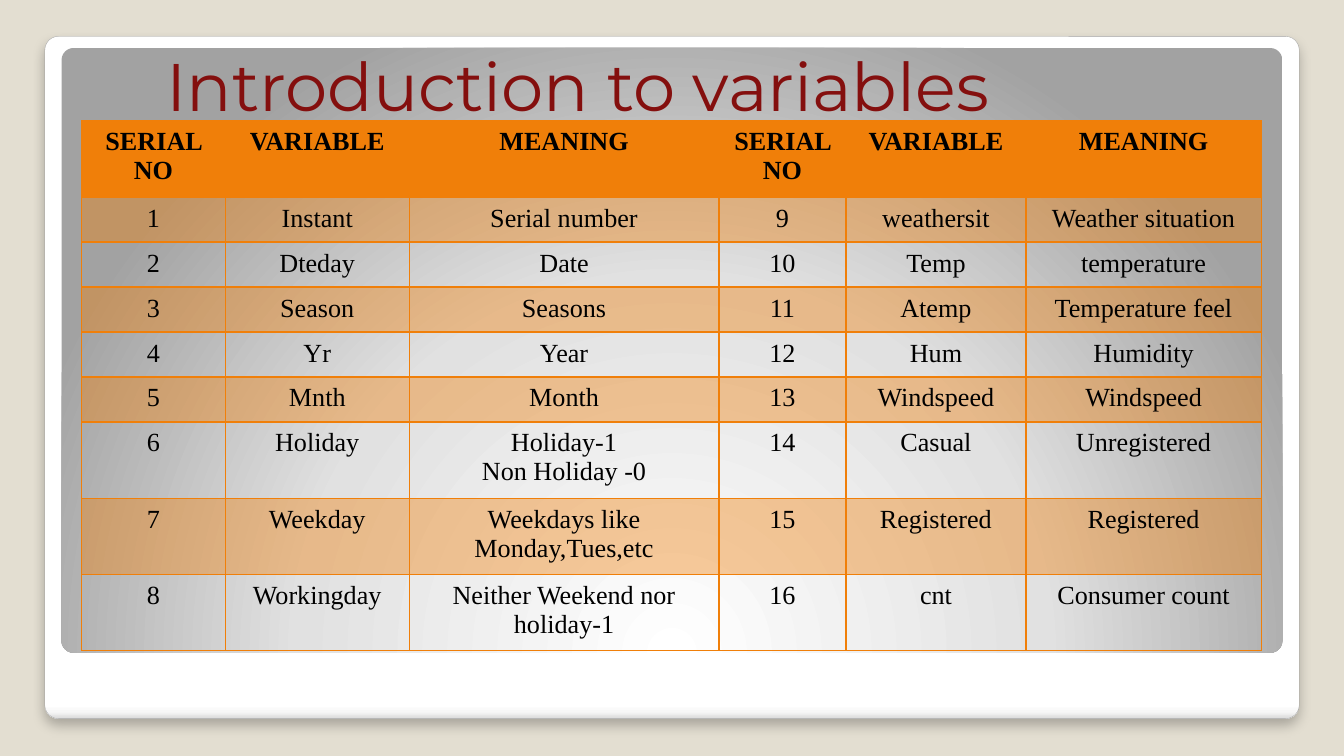
import dataclasses

import lxml.etree
import pptx
import pptx.dml.color
import pptx.enum.shapes
import pptx.enum.text
import pptx.oxml
import pptx.oxml.ns
import pptx.util

Pt = pptx.util.Pt
RGB = pptx.dml.color.RGBColor.from_string
ALIGN = pptx.enum.text.PP_ALIGN
NS = 'xmlns:a="http://schemas.openxmlformats.org/drawingml/2006/main"'
PLAIN = "{2D5ABB26-0587-4C30-8999-92F81FD0307C}"
qn = pptx.oxml.ns.qn


@dataclasses.dataclass
class Theme:
    back: str = "E3DED1"
    edge: str = "A4A4A4"
    title: str = "840F0E"
    ink: str = "000000"
    accent: str = "F07F09"
    tint: int = 40
    head_font: str = "Montserrat"
    body_font: str = "Times New Roman"
    head_size: int = 36
    body_size: int = 14
    frame: tuple = ((0, "FFFFFF"), (98, "FFFFFF"), (99, "F7F7F7"), (100, "DADADA"))
    panel: tuple = ((0, "FFFFFF"), (55, "E1E1E1"), (100, "A2A2A2"))


def write(box, text, font, size, color, bold=False, align=ALIGN.LEFT):
    for i, line in enumerate(text.split("\n")):
        para = box.add_paragraph() if i else box.paragraphs[0]
        para.alignment = align
        run = para.add_run()
        run.text = line
        run.font.name = font
        run.font.size = Pt(size)
        run.font.bold = bold
        run.font.color.rgb = RGB(color)


class Page:
    def __init__(self, slide, theme):
        self.slide = slide
        self.theme = theme
        slide.background.fill.solid()
        slide.background.fill.fore_color.rgb = RGB(theme.back)

    def card(self, left, top, width, height, stops, shade, edge=None, shadow=False):
        shape = self.slide.shapes.add_shape(
            pptx.enum.shapes.MSO_SHAPE.ROUNDED_RECTANGLE,
            Pt(left), Pt(top), Pt(width), Pt(height))
        shape.adjustments[0] = 0.02
        shape.shadow.inherit = False
        marks = "".join(
            f'<a:gs pos="{pos * 1000}"><a:srgbClr val="{color}"/></a:gs>'
            for pos, color in stops)
        props = shape._element.spPr
        props.insert(2, pptx.oxml.parse_xml(
            f'<a:gradFill {NS} rotWithShape="1"><a:gsLst>{marks}</a:gsLst>{shade}</a:gradFill>'))
        if edge:
            shape.line.color.rgb = RGB(edge)
            shape.line.width = Pt(0.16)
        else:
            shape.line.fill.background()
        if shadow:
            props.find(qn("a:effectLst")).append(pptx.oxml.parse_xml(
                f'<a:outerShdw {NS} blurRad="{Pt(6)}" dist="{Pt(4)}" dir="5400000" '
                'algn="t" rotWithShape="0"><a:srgbClr val="000000">'
                '<a:alpha val="25000"/></a:srgbClr></a:outerShdw>'))

    def title(self, left, top, width, height, text):
        look = self.theme
        box = self.slide.shapes.add_textbox(Pt(left), Pt(top), Pt(width), Pt(height))
        frame = box.text_frame
        frame.word_wrap = True
        frame.auto_size = pptx.enum.text.MSO_AUTO_SIZE.SHAPE_TO_FIT_TEXT
        write(frame, text, look.head_font, look.head_size, look.title)

    def table(self, left, top, widths, heights, rows):
        grid = self.slide.shapes.add_table(
            len(rows), len(widths), Pt(left), Pt(top),
            Pt(sum(widths)), Pt(sum(heights))).table
        grid._tbl.tblPr.find(qn("a:tableStyleId")).text = PLAIN
        for col, width in zip(grid.columns, widths):
            col.width = Pt(width)
        for r, (row, height) in enumerate(zip(rows, heights)):
            grid.rows[r].height = Pt(height)
            for c, text in enumerate(row):
                self.cell(grid.cell(r, c), text, r)

    def cell(self, cell, text, row):
        look = self.theme
        write(cell.text_frame, text, look.body_font, look.body_size, look.ink,
              bold=row == 0, align=ALIGN.CENTER)
        props = cell._tc.get_or_add_tcPr()
        for side in "LRTB":
            props.append(pptx.oxml.parse_xml(
                f'<a:ln{side} {NS} w="{Pt(0.75)}"><a:solidFill>'
                f'<a:srgbClr val="{look.accent}"/></a:solidFill></a:ln{side}>'))
        if row and row % 2 == 0:
            cell.fill.background()
            return
        cell.fill.solid()
        cell.fill.fore_color.rgb = RGB(look.accent)
        if row:
            color = props.find(qn("a:solidFill")).find(qn("a:srgbClr"))
            lxml.etree.SubElement(color, qn("a:alpha")).set("val", str(look.tint * 1000))


def main():
    deck = pptx.Presentation()
    deck.slide_width, deck.slide_height = Pt(720), Pt(405)
    theme = Theme()
    page = Page(deck.slides.add_slide(deck.slide_layouts[6]), theme)
    page.card(24, 19.5, 672, 385 - 19.5 + 0.0, theme.frame,
              '<a:lin ang="5400000" scaled="0"/>', edge=theme.edge, shadow=True)
    page.card(33, 25.75, 654, 324, theme.panel,
              '<a:path path="circle"><a:fillToRect l="50000" t="175000" '
              'r="50000" b="-75000"/></a:path>')
    page.title(82, 20, 520, 51, "Introduction to variables")

    head = ("SERIAL NO", "VARIABLE", "MEANING")
    items = [
        ("Instant", "Serial number"),
        ("Dteday", "Date"),
        ("Season", "Seasons"),
        ("Yr", "Year"),
        ("Mnth", "Month"),
        ("Holiday", "Holiday-1\nNon Holiday -0"),
        ("Weekday", "Weekdays like Monday,Tues,etc"),
        ("Workingday", "Neither Weekend nor holiday-1"),
        ("weathersit", "Weather situation"),
        ("Temp", "temperature"),
        ("Atemp", "Temperature feel"),
        ("Hum", "Humidity"),
        ("Windspeed", "Windspeed"),
        ("Casual", "Unregistered"),
        ("Registered", "Registered"),
        ("cnt", "Consumer count"),
    ]
    lines = [(str(n), *item) for n, item in enumerate(items, 1)]
    half = len(lines) // 2
    rows = [head + head] + [a + b for a, b in zip(lines[:half], lines[half:])]
    tall, short = 40.7, 24.1
    page.table(43.75, 64.75, [77, 98.5, 166, 68, 96.5, 126],
               [tall] + [short] * 5 + [tall] * 3, rows)
    deck.save("out.pptx")


if __name__ == "__main__":
    main()
